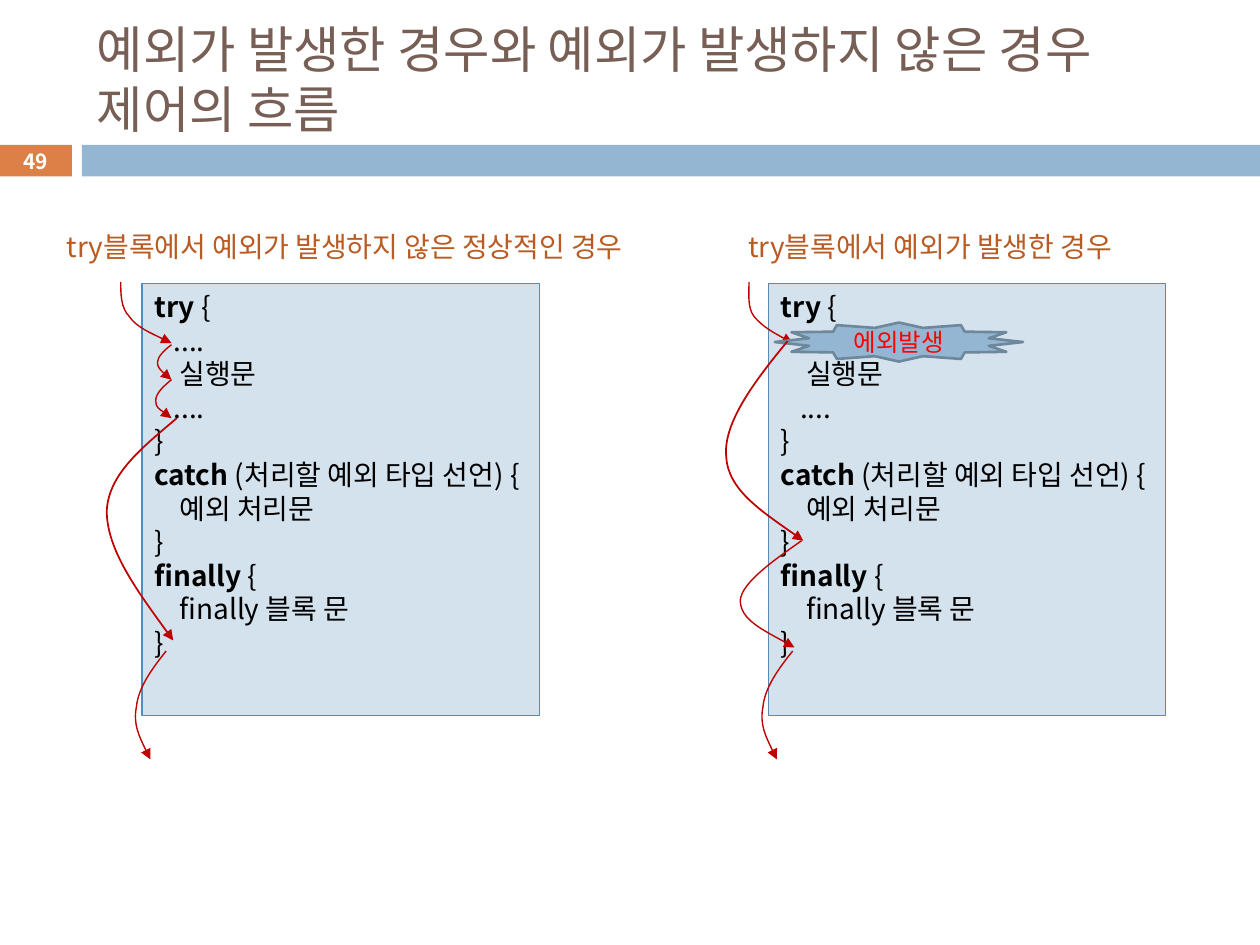
"""Builds a slide on control flow through try, catch and finally."""
from pptx import Presentation
from pptx.dml.color import RGBColor
from pptx.enum.shapes import MSO_SHAPE as SHAPE
from pptx.enum.text import MSO_ANCHOR as ANCHOR, PP_ALIGN as ALIGN
from pptx.oxml.ns import qn
from pptx.util import Pt
from lxml.etree import SubElement

FONT = "Noto Sans CJK KR"
BROWN = RGBColor(0x77, 0x5F, 0x55)
ORANGE = RGBColor(0xDD, 0x80, 0x47)
BLUE = RGBColor(0x94, 0xB6, 0xD2)
PALE = RGBColor(0xD4, 0xE2, 0xED)
EDGE = RGBColor(0x55, 0x8B, 0xB8)
STAR_EDGE = RGBColor(0x6D, 0x87, 0x9B)
RUST = RGBColor(0xB9, 0x5B, 0x22)
CRIMSON = RGBColor(0xC0, 0x00, 0x00)
RED = RGBColor(0xFF, 0x00, 0x00)
BLACK = RGBColor(0x00, 0x00, 0x00)
WHITE = RGBColor(0xFF, 0xFF, 0xFF)

TITLE = "예외가 발생한 경우와 예외가 발생하지 않은 경우 제어의 흐름"
LABELS = [
    ("try블록에서 예외가 발생하지 않은 정상적인 경우", 31, 370),
    ("try블록에서 예외가 발생한 경우", 420.5, 245.5),
]
DOTS, BODY = 11, 14.4
CODE = [
    ("try ", "{", 0),
    ("", "....", DOTS),
    ("", "실행문", BODY),
    ("", "....", DOTS),
    ("", "}", 0),
    ("catch ", "(처리할 예외 타입 선언) {", 0),
    ("", "예외 처리문", BODY),
    ("", "}", 0),
    ("finally ", "{", 0),
    ("", "finally 블록 문", BODY),
    ("", "}", 0),
]
PANEL_LEFT, PANEL_STEP = 81.2, 358
EXIT = [(95, 371.5), (87, 382.3), (79.2, 393), (77.8, 403.9),
        (76.3, 414), (81.4, 424), (85.7, 434.2)]
ENTRIES = [
    [(69, 161.3), (69, 168.5), (69, 175.7), (74, 181.4),
     (78.5, 187.2), (93.6, 193.7), (98, 196)],
    [(427.5, 161.3), (427.5, 168.5), (427, 175.7), (431, 181.4),
     (435.6, 187.2), (449.3, 193.7), (453, 196)],
]
NORMAL_STEPS = [
    [(98, 197.3), (93.6, 200), (90, 203.8), (90, 207.4),
     (90, 210.2), (93.6, 213.8), (98, 217.4)],
    [(98, 217.4), (92.9, 221), (88.6, 224.6), (88.6, 229),
     (88.6, 232.6), (92.9, 235.4), (98, 239)],
]
CATCH_TO_FINALLY = [(457.9, 308.9), (441.4, 321), (424, 332.6), (423.4, 342.7),
                    (422.6, 353.5), (438.5, 361.4), (453.6, 370)]
LONG_JUMPS = [
    [(100.8, 239), (81.4, 255.6), (61.9, 271.4), (61.2, 292.3),
     (61.2, 313.9), (79.9, 339.8), (99.4, 365.8)],
    [(450, 195), (431.3, 218.2), (413.3, 241.9), (414.7, 260.6),
     (416.2, 280), (437.8, 294.5), (459.4, 308.9)],
]


def style(r, size, color, bold=False):
    r.font.size, r.font.bold, r.font.name = Pt(size), bold, FONT
    r.font.color.rgb = color
    SubElement(r.font._element, qn("a:ea")).set("typeface", FONT)


def add_box(s, kind, box, fill, edge=None, weight=0.75):
    sp = s.shapes.add_shape(kind, *map(Pt, box))
    sp.shadow.inherit = False
    sp.fill.solid()
    sp.fill.fore_color.rgb = fill
    if edge is None:
        sp.line.fill.background()
    else:
        sp.line.color.rgb, sp.line.width = edge, Pt(weight)
    return sp


def write(sp, text, size, color, bold=False, align=ALIGN.LEFT, anchor=ANCHOR.MIDDLE, wrap=True):
    tf = sp.text_frame
    tf.text, tf.word_wrap, tf.vertical_anchor = text, wrap, anchor
    p = tf.paragraphs[0]
    p.alignment = align
    style(p.runs[0], size, color, bold)


def add_code(s, left):
    sp = add_box(s, SHAPE.RECTANGLE, (left, 162, 227, 247), PALE, EDGE)
    tf = sp.text_frame
    tf.word_wrap, tf.vertical_anchor = True, ANCHOR.TOP
    for i, (keyword, rest, indent) in enumerate(CODE):
        p = tf.paragraphs[0] if i == 0 else tf.add_paragraph()
        p.alignment = ALIGN.LEFT
        p._p.get_or_add_pPr().set("marL", str(Pt(indent)))
        for text, bold in ((keyword, True), (rest, False)):
            if text:
                r = p.add_run()
                r.text = text
                style(r, 16, BLACK, bold)


def add_curve(s, points, weight=0.79):
    builder = s.shapes.build_freeform(*points[0], scale=Pt(1))
    builder.add_line_segments(points[1:], close=False)
    sp = builder.convert_to_shape()
    sp.shadow.inherit = False
    sp.fill.background()
    sp.line.color.rgb, sp.line.width = CRIMSON, Pt(weight)
    SubElement(sp.line._get_or_add_ln(), qn("a:tailEnd")).set("type", "triangle")
    outline = sp._element.find(".//" + qn("a:path"))
    segments = outline.findall(qn("a:lnTo"))
    for i in range(0, len(segments), 3):
        bezier = SubElement(outline, qn("a:cubicBezTo"))
        for segment in segments[i:i + 3]:
            bezier.append(segment[0])
            outline.remove(segment)


def main():
    prs = Presentation()
    prs.slide_width, prs.slide_height = Pt(720), Pt(540)
    s = prs.slides.add_slide(prs.slide_layouts[5])

    title = s.shapes.title
    title.left, title.top, title.width, title.height = map(Pt, (48.2, 18, 642.2, 53.3))
    write(title, TITLE, 28.8, BROWN)

    number = add_box(s, SHAPE.RECTANGLE, (-0.7, 82.8, 41.8, 18), ORANGE)
    write(number, "49", 11.9, WHITE, True, ALIGN.CENTER, wrap=False)
    add_box(s, SHAPE.RECTANGLE, (46.8, 82.8, 673.2, 18), BLUE)

    for i, (label, left, width) in enumerate(LABELS):
        shift = i * PANEL_STEP
        add_code(s, PANEL_LEFT + shift)
        add_curve(s, ENTRIES[i])
        add_curve(s, [(x + shift, y) for x, y in EXIT])
        sp = s.shapes.add_textbox(*map(Pt, (left, 127.4, width, 26.6)))
        write(sp, label, 16, RUST, anchor=ANCHOR.TOP)

    star = add_box(s, SHAPE.STAR_12_POINT, (442.8, 184.3, 141.8, 22.3), BLUE, STAR_EDGE, 1.5)
    write(star, "에외발생", 14, RED, align=ALIGN.CENTER, wrap=False)

    for points in NORMAL_STEPS + [CATCH_TO_FINALLY]:
        add_curve(s, points)
    for points in LONG_JUMPS:
        add_curve(s, points, 1)
    prs.save("out.pptx")


if __name__ == "__main__":
    main()
